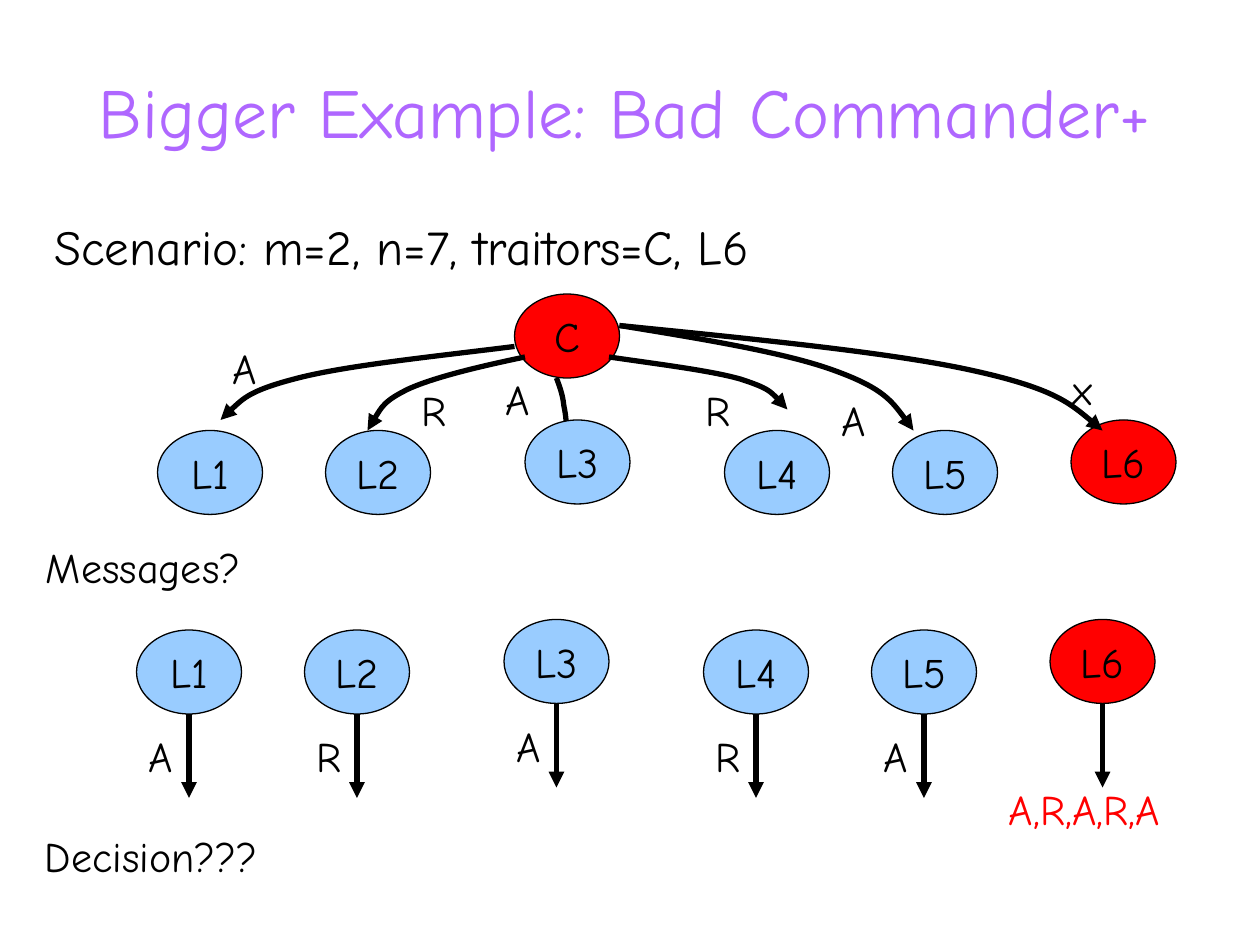
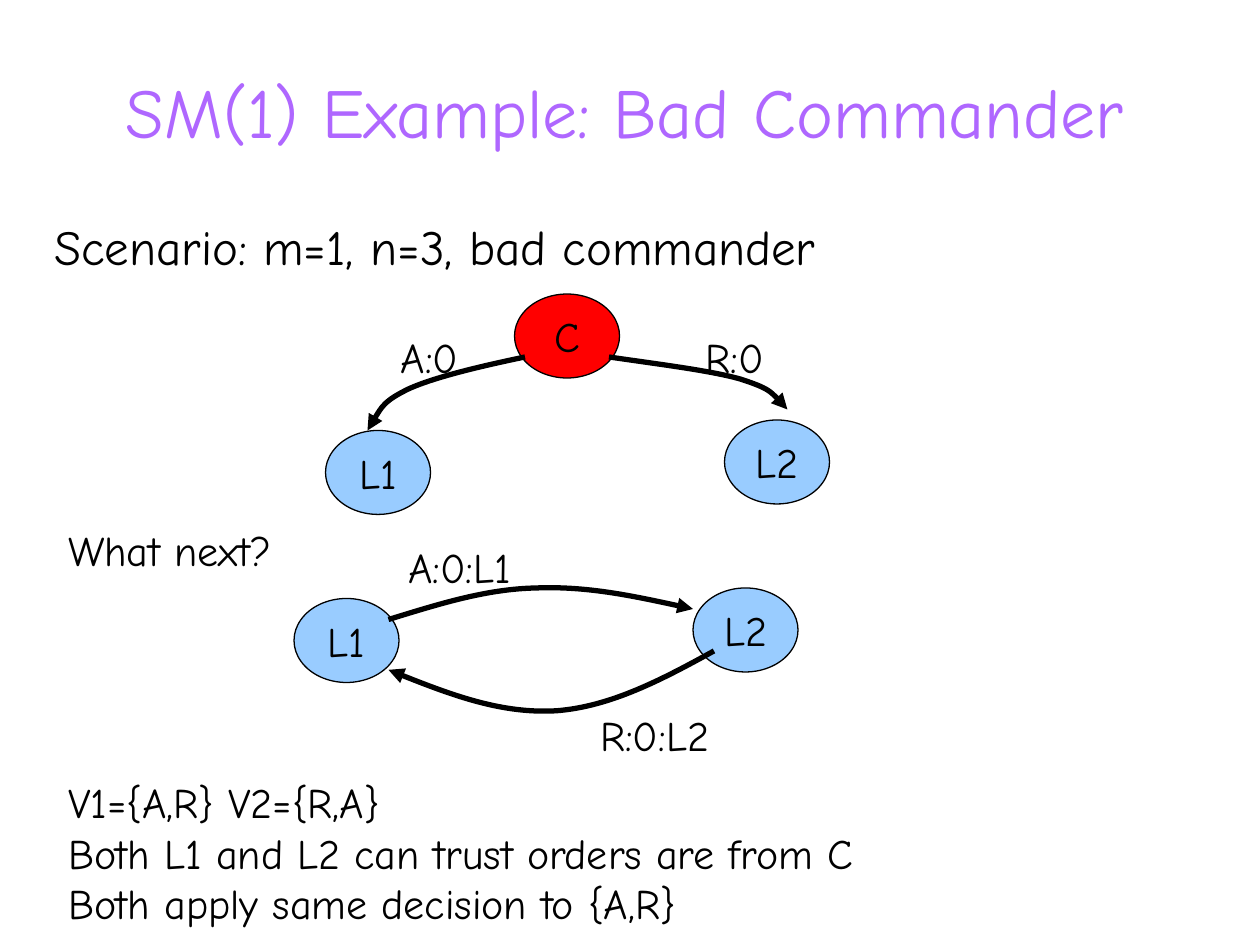
import pptx
import pptx.util
import pptx.dml.color
import pptx.enum.shapes
import pptx.enum.text
import pptx.oxml.ns
import lxml.etree

FONT = "Comic Neue"
COLOURS = {"title": "AF67FF", "ink": "000000", "traitor": "FF0000", "loyal": "99CCFF"}
SLIDE_COLUMNS, SLIDE_ROWS = 120, 90
UNIT = pptx.util.Inches(10) / SLIDE_COLUMNS
NODE_WIDTH, NODE_HEIGHT = 10, 8
TITLE_PLACE = (4, 4, 111, 13)
SCENARIO_PLACE = (4, 20, 111, 60)
LABEL_WIDTH, LABEL_HEIGHT = 5, 6
COMMANDER = ("C", 49, 28, "traitor")

TO_LEFT = [(50, 34), (45.7, 34.9), (41.5, 35.9), (39, 37), (36.5, 38.2), (35.8, 39.6), (35, 41)]
TO_RIGHT = [(58, 34), (62.8, 34.7), (67.7, 35.3), (70.5, 36.1), (73.3, 37), (74.2, 38), (75, 39)]

LIEUTENANTS = [
    ("L1", 15, 41, "loyal"),
    ("L2", 31, 41, "loyal"),
    ("L3", 50, 40, "loyal"),
    ("L4", 69, 41, "loyal"),
    ("L5", 85, 41, "loyal"),
    ("L6", 102, 40, "traitor"),
]
RELAY_SHIFT = (-2, 19)
RELAYED = ["A", "R", "A", "R", "A", None]

SLIDES = [
    {
        "title": "Bigger Example: Bad Commander+",
        "scenario": "Scenario: m=2, n=7, traitors=C, L6",
        "orders_behind": [
            TO_LEFT,
            TO_RIGHT,
            [(53, 36), (53.3, 36.8), (53.6, 37.6), (53.7, 38.6), (53.9, 39.6), (54, 40.8), (54, 42)],
        ],
        "lieutenants": LIEUTENANTS,
        "orders_in_front": [
            [(49, 33), (41, 34), (33.1, 34.8), (28.4, 36), (23.7, 37.2), (22.4, 38.6), (21, 40)],
            [(59, 31), (67, 32.3), (74.9, 33.6), (79.5, 35.3), (84.2, 37), (85.6, 39), (87, 41)],
            [(59, 31), (72, 32.3), (85.1, 33.6), (92.7, 35.3), (100.4, 37), (102.7, 39), (105, 41)],
        ],
        "labels": [
            ("A", 21, 32, LABEL_WIDTH, "ink"),
            ("R", 39, 36, LABEL_WIDTH, "ink"),
            ("A", 47, 35, LABEL_WIDTH, "ink"),
            ("R", 66, 36, LABEL_WIDTH, "ink"),
            ("A", 79, 37, LABEL_WIDTH, "ink"),
            ("x", 101, 34, 4.4, "ink"),
            ("Messages?", 3.2, 51, 22.7, "ink"),
            ("A,R,A,R,A", 94.9, 74, 19.3, "traitor"),
            ("Decision???", 3.1, 78.5, 23.5, "ink"),
        ],
        "relayed": RELAYED,
    },
    {
        "title": "SM(1) Example: Bad Commander",
        "scenario": "Scenario: m=1, n=3, bad commander",
        "orders_behind": [],
        "lieutenants": [
            ("L1", 31, 41, "loyal"),
            ("L2", 69, 40, "loyal"),
            ("L1", 28, 57, "loyal"),
            ("L2", 66, 56, "loyal"),
        ],
        "orders_in_front": [
            TO_LEFT,
            TO_RIGHT,
            [(37, 59), (41.6, 57.6), (46.2, 56.1), (51, 56), (55.8, 55.8), (61, 56.9), (66, 58)],
            [(68, 62), (63.1, 64.7), (58.2, 67.3), (53, 67.7), (47.9, 68), (42.4, 66), (37, 63.8)],
        ],
        "labels": [
            ("A:0", 37, 31, 8.3, "ink"),
            ("R:0", 66, 31, 8.3, "ink"),
            ("What next?", 5.3, 49.4, 23.3, "ink"),
            ("A:0:L1", 37.7, 51, 13.8, "ink"),
            ("R:0:L2", 56, 67, 13.7, "ink"),
            (
                "V1={A,R} V2={R,A}\n"
                "Both L1 and L2 can trust orders are from C\n"
                "Both apply same decision to {A,R}",
                5.3, 73.4, 82.4, "ink",
            ),
        ],
        "relayed": [],
    },
]


def grid(*lengths):
    return [round(length * UNIT) for length in lengths]


def rgb(colour):
    return pptx.dml.color.RGBColor.from_string(COLOURS[colour])


def write(frame, text, size, colour="ink", centred=False):
    frame.text = text
    for paragraph in frame.paragraphs:
        if centred:
            paragraph.alignment = pptx.enum.text.PP_ALIGN.CENTER
        paragraph.font.name = FONT
        paragraph.font.size = pptx.util.Pt(size)
        paragraph.font.color.rgb = rgb(colour)


def add_text(slide, text, place, size, colour="ink", centred=False, wrap=False):
    frame = slide.shapes.add_textbox(*grid(*place)).text_frame
    frame.word_wrap = wrap
    if centred:
        frame.vertical_anchor = pptx.enum.text.MSO_ANCHOR.MIDDLE
    write(frame, text, size, colour, centred)


def add_node(slide, name, column, row, loyalty):
    node = slide.shapes.add_shape(
        pptx.enum.shapes.MSO_SHAPE.OVAL, *grid(column, row, NODE_WIDTH, NODE_HEIGHT)
    )
    node.shadow.inherit = False
    node.fill.solid()
    node.fill.fore_color.rgb = rgb(loyalty)
    node.line.color.rgb = rgb("ink")
    node.line.width = pptx.util.Pt(0.75)
    node.text_frame.word_wrap = False
    node.text_frame.vertical_anchor = pptx.enum.text.MSO_ANCHOR.MIDDLE
    write(node.text_frame, name, 24, centred=True)


def style_arrow(line):
    line.color.rgb = rgb("ink")
    line.width = pptx.util.Pt(3)
    head = lxml.etree.SubElement(line._get_or_add_ln(), pptx.oxml.ns.qn("a:tailEnd"))
    head.set("type", "triangle")


def add_curve(slide, points):
    start, *controls = [grid(*point) for point in points]
    builder = slide.shapes.build_freeform(*start)
    builder.add_line_segments(controls, close=False)
    curve = builder.convert_to_shape()
    curve.shadow.inherit = False
    curve.fill.background()
    style_arrow(curve.line)
    segments = curve._element.xpath(".//a:lnTo")
    outline = segments[0].getparent()
    for first in range(0, len(segments), 3):
        bend = lxml.etree.SubElement(outline, pptx.oxml.ns.qn("a:cubicBezTo"))
        for segment in segments[first:first + 3]:
            bend.append(segment[0])
            outline.remove(segment)


def add_straight_arrow(slide, column, top, bottom):
    arrow = slide.shapes.add_connector(
        pptx.enum.shapes.MSO_CONNECTOR.STRAIGHT, *grid(column, top, column, bottom)
    )
    style_arrow(arrow.line)
    lxml.etree.SubElement(arrow._element.spPr, pptx.oxml.ns.qn("a:effectLst"))


def add_relay(slide, lieutenant, message):
    name, column, row, loyalty = lieutenant
    column, row = column + RELAY_SHIFT[0], row + RELAY_SHIFT[1]
    middle = column + NODE_WIDTH / 2
    add_straight_arrow(slide, middle, row + NODE_HEIGHT, row + 2 * NODE_HEIGHT)
    if message:
        add_text(slide, message, (middle - LABEL_WIDTH, row + 9, LABEL_WIDTH, LABEL_HEIGHT), 24)
    add_node(slide, name, column, row, loyalty)


def add_scene(deck, scene):
    slide = deck.slides.add_slide(deck.slide_layouts[6])
    add_text(slide, scene["title"], TITLE_PLACE, 40, "title", centred=True, wrap=True)
    add_text(slide, scene["scenario"], SCENARIO_PLACE, 28, wrap=True)
    add_node(slide, *COMMANDER)
    for points in scene["orders_behind"]:
        add_curve(slide, points)
    for lieutenant in scene["lieutenants"]:
        add_node(slide, *lieutenant)
    for points in scene["orders_in_front"]:
        add_curve(slide, points)
    for lieutenant, message in zip(scene["lieutenants"], scene["relayed"]):
        add_relay(slide, lieutenant, message)
    for text, column, row, width, colour in scene["labels"]:
        height = LABEL_HEIGHT + 4.8 * text.count("\n")
        add_text(slide, text, (column, row, width, height), 24, colour)


def main():
    deck = pptx.Presentation()
    deck.slide_width, deck.slide_height = grid(SLIDE_COLUMNS, SLIDE_ROWS)
    for scene in SLIDES:
        add_scene(deck, scene)
    deck.save("out.pptx")


if __name__ == "__main__":
    main()
